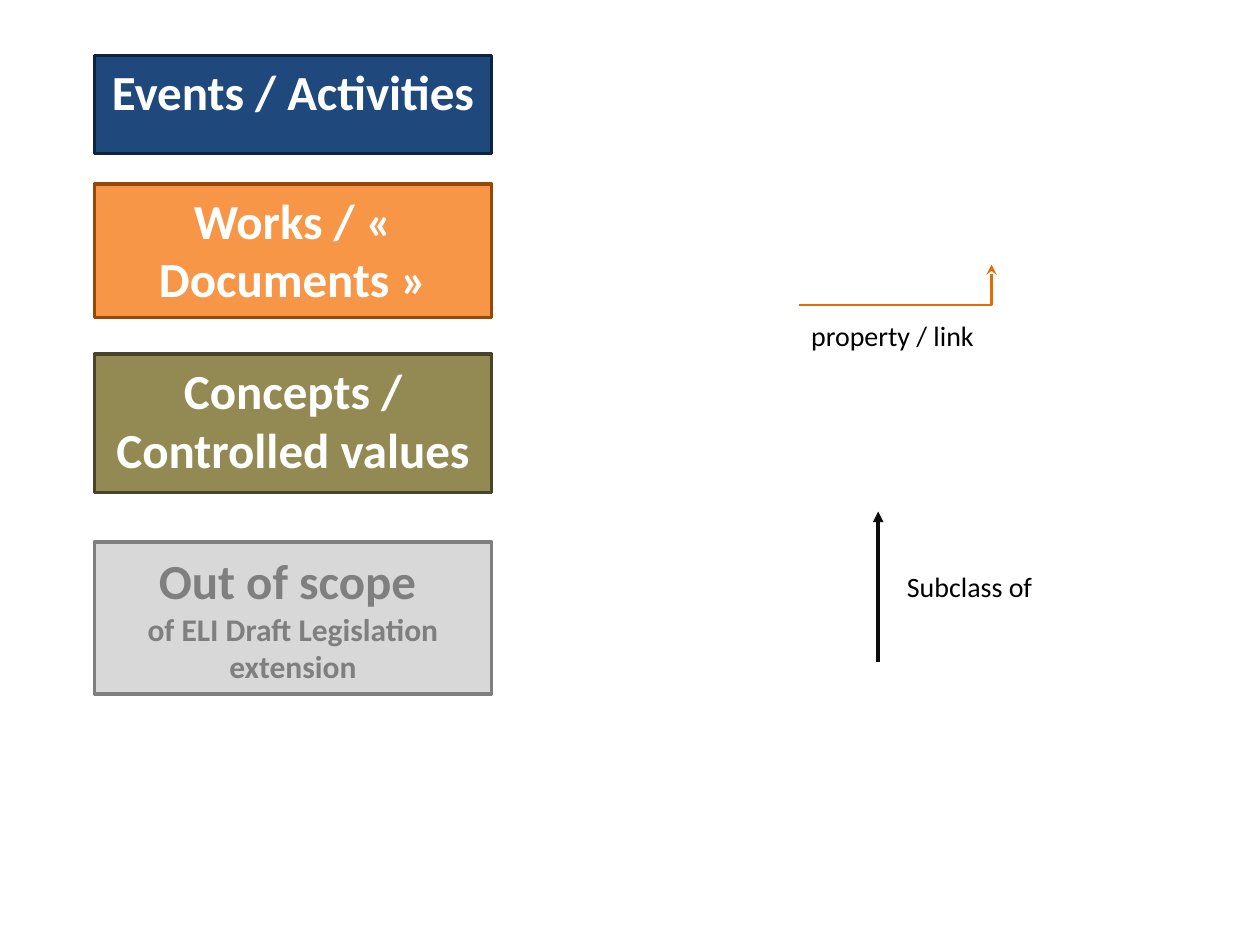
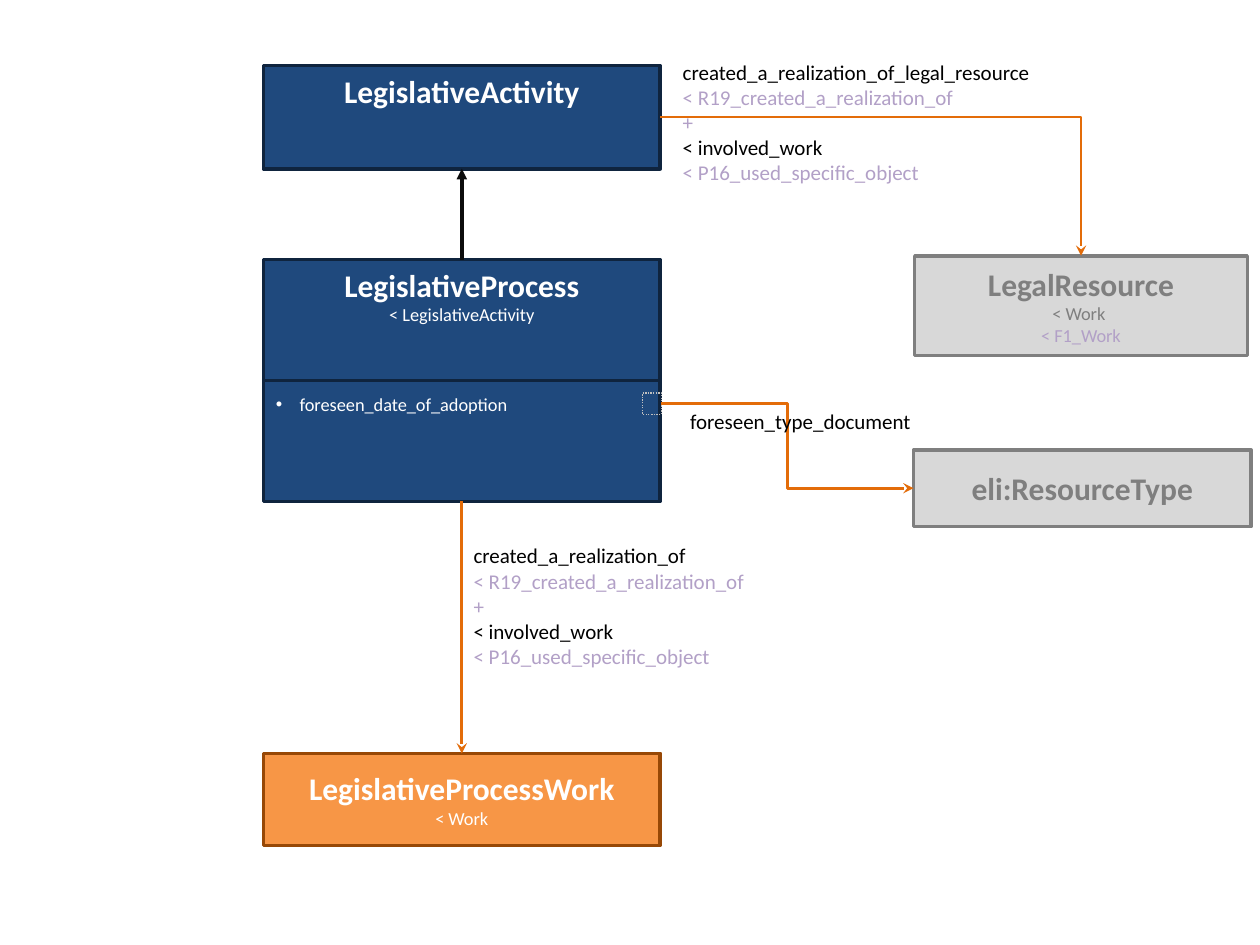
from dataclasses import dataclass
from typing import Optional

import pptx
import pptx.dml.color
import pptx.enum.dml
import pptx.enum.shapes
import pptx.enum.text
import pptx.oxml.ns
import pptx.oxml.xmlchemy
import pptx.util
from lxml import etree

Inches = pptx.util.Inches
Pt = pptx.util.Pt
RGBColor = pptx.dml.color.RGBColor
Anchor = pptx.enum.text.MSO_ANCHOR
Align = pptx.enum.text.PP_ALIGN
Connector = pptx.enum.shapes.MSO_CONNECTOR
qn = pptx.oxml.ns.qn

FONT = "Calibri"
WHITE = RGBColor(0xFF, 0xFF, 0xFF)
BLACK = RGBColor(0x00, 0x00, 0x00)
NAVY = RGBColor(0x1F, 0x49, 0x7D)
NAVY_EDGE = RGBColor(0x0F, 0x24, 0x3E)
ORANGE = RGBColor(0xF7, 0x96, 0x46)
ORANGE_EDGE = RGBColor(0x97, 0x48, 0x06)
OLIVE = RGBColor(0x93, 0x89, 0x53)
OLIVE_EDGE = RGBColor(0x49, 0x44, 0x29)
SILVER = RGBColor(0xD8, 0xD8, 0xD8)
GREY = RGBColor(0x7F, 0x7F, 0x7F)
DOTTED_GREY = RGBColor(0xBF, 0xBF, 0xBF)
LILAC = RGBColor(0xB2, 0xA0, 0xC7)
LINK_ORANGE = RGBColor(0xE3, 0x6C, 0x09)
SUBCLASS_BLACK = RGBColor(0x0C, 0x0C, 0x0C)

TOP, LEFT, BOTTOM, RIGHT = range(4)
BOX_WIDTH = 3.15


@dataclass(frozen=True)
class Category:
    fill: RGBColor
    edge: RGBColor
    ink: RGBColor = WHITE


EVENT = Category(NAVY, NAVY_EDGE)
WORK = Category(ORANGE, ORANGE_EDGE)
CONCEPT = Category(OLIVE, OLIVE_EDGE)
OUT_OF_SCOPE = Category(SILVER, GREY, GREY)


@dataclass(frozen=True)
class LinkStyle:
    color: RGBColor
    width: float
    head: Optional[str] = None


PROPERTY = LinkStyle(LINK_ORANGE, 1.5, "stealth")
SUBCLASS = LinkStyle(SUBCLASS_BLACK, 2, "triangle")
DIVIDER = LinkStyle(NAVY_EDGE, 2)


@dataclass(frozen=True)
class TextLine:
    text: str
    size: float
    color: Optional[RGBColor] = None
    bold: bool = False
    bullet: bool = False
    gap: float = 0


@dataclass(frozen=True)
class Box:
    left: float
    top: float
    width: float
    height: float
    category: Category
    lines: tuple[TextLine, ...]
    anchor: Anchor = Anchor.TOP


@dataclass(frozen=True)
class Label:
    left: float
    top: float
    width: float
    height: float
    lines: tuple[TextLine, ...]


def heading(text: str, size: float = 18) -> TextLine:
    return TextLine(text, size, bold=True)


def realization_lines(property_name: str) -> tuple[TextLine, ...]:
    return (
        TextLine(property_name, 12),
        TextLine("< R19_created_a_realization_of", 12, LILAC),
        TextLine("+", 12, LILAC),
        TextLine("< involved_work", 12),
        TextLine("< P16_used_specific_object", 12, LILAC),
    )


LEGEND_BOXES = (
    Box(0.75, 0.44, BOX_WIDTH, 0.78, EVENT, (heading("Events / Activities", 28),)),
    Box(0.75, 1.46, BOX_WIDTH, 1.06, WORK, (heading("Works / « Documents »", 28),)),
    Box(0.75, 2.81, BOX_WIDTH, 1.1, CONCEPT,
        (heading("Concepts / Controlled values", 28),)),
    Box(0.75, 4.3, BOX_WIDTH, 1.21, OUT_OF_SCOPE,
        (heading("Out of scope ", 28), heading("of ELI Draft Legislation extension")),
        Anchor.MIDDLE),
)
LEGEND_LABELS = (
    Label(6.34, 2.48, 2.56, 0.37, (TextLine("property / link", 16),)),
    Label(7.1, 4.47, 2.56, 0.37, (TextLine("Subclass of", 16),)),
)

ACTIVITY = Box(2.09, 0.52, BOX_WIDTH, 0.82, EVENT, (heading("LegislativeActivity"),))
PROCESS = Box(2.09, 2.06, BOX_WIDTH, 1.92, EVENT, (
    heading("LegislativeProcess"),
    TextLine("< LegislativeActivity", 10.5),
    TextLine("foreseen_date_of_adoption", 10.5, bullet=True, gap=38.4),
))
PROCESS_WORK = Box(2.09, 5.98, BOX_WIDTH, 0.73, WORK,
                   (heading("LegislativeProcessWork"), TextLine("< Work", 10.5)),
                   Anchor.MIDDLE)
LEGAL_RESOURCE = Box(7.26, 2.03, 2.64, 0.79, OUT_OF_SCOPE,
                     (heading("LegalResource"), TextLine("< Work ", 10.5),
                      TextLine("< F1_Work", 10.5, LILAC)),
                     Anchor.MIDDLE)
RESOURCE_TYPE = Box(7.25, 3.57, 2.68, 0.61, OUT_OF_SCOPE,
                    (heading("eli:ResourceType"),), Anchor.MIDDLE)
PROCESS_LABELS = (
    Label(3.66, 4.26, 2.82, 1.31, realization_lines("created_a_realization_of")),
    Label(5.38, 3.19, 2.1, 0.3, (TextLine("foreseen_type_document", 12),)),
    Label(5.32, 0.42, 2.99, 1.11,
          realization_lines("created_a_realization_of_legal_resource")),
)


def add_bullet(paragraph) -> None:
    properties = paragraph._p.get_or_add_pPr()
    properties.set("marL", str(Inches(0.19)))
    properties.set("indent", str(-Inches(0.19)))
    etree.SubElement(properties, qn("a:buFont")).set("typeface", "Arial")
    etree.SubElement(properties, qn("a:buChar")).set("char", "•")


def write_lines(frame, lines: tuple[TextLine, ...], ink: RGBColor, align: Align) -> None:
    frame.word_wrap = True
    frame.text = "\n".join(line.text for line in lines)
    for paragraph, line in zip(frame.paragraphs, lines):
        paragraph.alignment = Align.LEFT if line.bullet else align
        if line.gap:
            paragraph.space_before = Pt(line.gap)
        if line.bullet:
            add_bullet(paragraph)
        for run in paragraph.runs:
            run.font.name = FONT
            run.font.size = Pt(line.size)
            run.font.bold = line.bold
            run.font.color.rgb = line.color or ink


def add_rectangle(slide, left: float, top: float, width: float, height: float):
    rectangle = slide.shapes.add_shape(
        pptx.enum.shapes.MSO_SHAPE.RECTANGLE,
        Inches(left), Inches(top), Inches(width), Inches(height))
    rectangle.shadow.inherit = False
    return rectangle


def draw_box(slide, box: Box):
    rectangle = add_rectangle(slide, box.left, box.top, box.width, box.height)
    rectangle.fill.solid()
    rectangle.fill.fore_color.rgb = box.category.fill
    rectangle.line.color.rgb = box.category.edge
    rectangle.line.width = Pt(2)
    rectangle.text_frame.vertical_anchor = box.anchor
    write_lines(rectangle.text_frame, box.lines, box.category.ink, Align.CENTER)
    return rectangle


def draw_label(slide, label: Label) -> None:
    caption = slide.shapes.add_textbox(
        Inches(label.left), Inches(label.top), Inches(label.width), Inches(label.height))
    write_lines(caption.text_frame, label.lines, BLACK, Align.LEFT)


def draw_link(slide, style: LinkStyle, start: tuple[float, float],
              end: tuple[float, float], preset: str = "line"):
    kind = Connector.STRAIGHT if preset == "line" else Connector.ELBOW
    link = slide.shapes.add_connector(kind, *map(Inches, start + end))
    link.line.color.rgb = style.color
    link.line.width = Pt(style.width)
    properties = link._element.spPr
    properties.find(qn("a:prstGeom")).set("prst", preset)
    if style.head:
        outline = properties.find(qn("a:ln"))
        etree.SubElement(outline, qn("a:tailEnd")).set("type", style.head)
    etree.SubElement(properties, qn("a:effectLst"))
    return link


def join(slide, style: LinkStyle, source, source_side: int, target, target_side: int,
         preset: str = "line") -> None:
    link = draw_link(slide, style, (0, 0), (1, 1), preset)
    link.begin_connect(source, source_side)
    link.end_connect(target, target_side)


def draw_property_anchor(slide):
    anchor = add_rectangle(slide, 5.1, 3.12, 0.15, 0.17)
    anchor.fill.background()
    anchor.line.color.rgb = DOTTED_GREY
    anchor.line.width = Pt(0.75)
    anchor.line.dash_style = pptx.enum.dml.MSO_LINE.ROUND_DOT
    return anchor


def build_legend(slide) -> None:
    for box in LEGEND_BOXES:
        draw_box(slide, box)
    draw_link(slide, PROPERTY, (6.34, 2.42), (7.87, 2.1), "bentConnector2")
    draw_link(slide, SUBCLASS, (6.97, 5.25), (6.97, 4.06))
    for label in LEGEND_LABELS:
        draw_label(slide, label)


def build_process(slide) -> None:
    activity, process, process_work, legal_resource, resource_type = (
        draw_box(slide, box)
        for box in (ACTIVITY, PROCESS, PROCESS_WORK, LEGAL_RESOURCE, RESOURCE_TYPE))
    property_anchor = draw_property_anchor(slide)
    join(slide, DIVIDER, process, LEFT, process, RIGHT)
    join(slide, SUBCLASS, process, TOP, activity, BOTTOM)
    join(slide, PROPERTY, process, BOTTOM, process_work, TOP)
    join(slide, PROPERTY, property_anchor, RIGHT, resource_type, LEFT, "bentConnector3")
    join(slide, PROPERTY, activity, RIGHT, legal_resource, TOP, "bentConnector2")
    for label in PROCESS_LABELS:
        draw_label(slide, label)


def main() -> None:
    deck = pptx.Presentation()
    deck.slide_width = Inches(10)
    deck.slide_height = Inches(7.5)
    blank_layout = deck.slide_layouts[6]
    for build in (build_legend, build_process):
        build(deck.slides.add_slide(blank_layout))
    deck.save("out.pptx")


if __name__ == "__main__":
    main()
